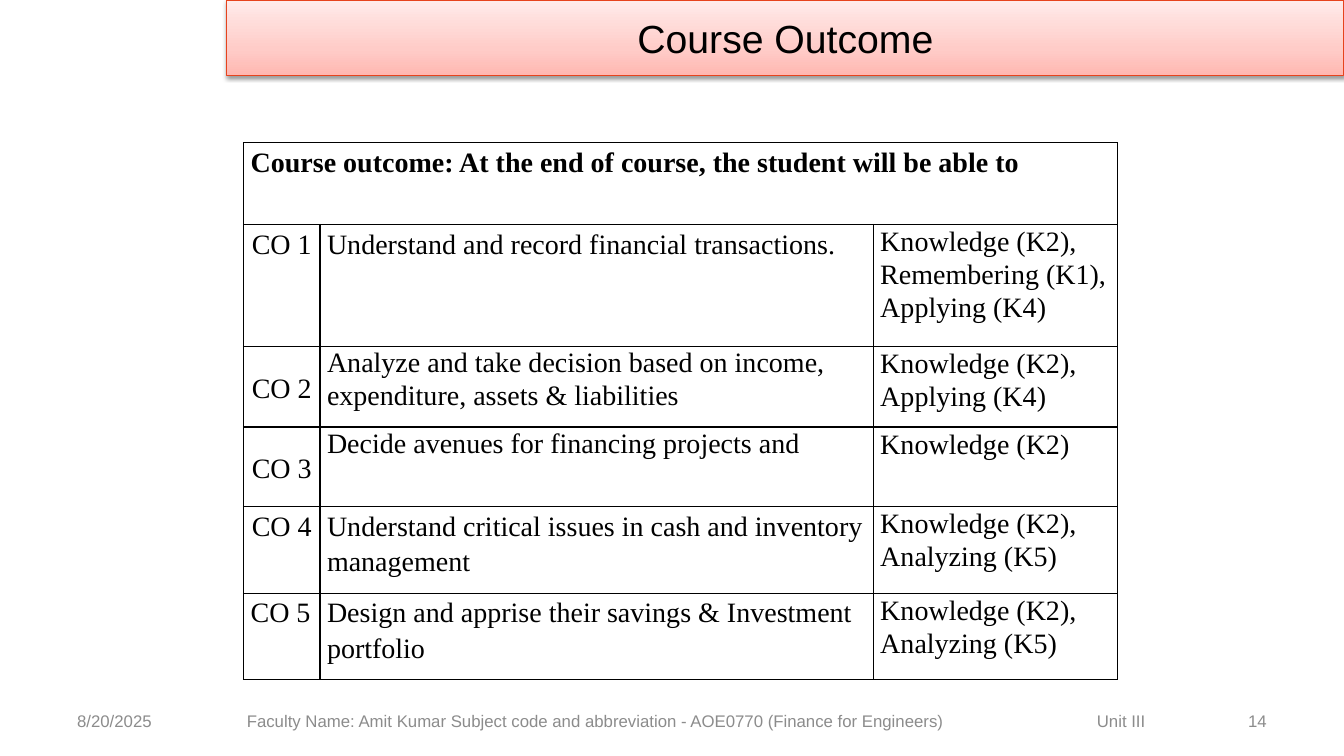
from copy import deepcopy

from lxml import etree
from pptx import Presentation
from pptx.dml.color import RGBColor
from pptx.enum.shapes import MSO_SHAPE
from pptx.enum.text import MSO_ANCHOR, PP_ALIGN
from pptx.oxml import parse_xml
from pptx.oxml.ns import qn
from pptx.util import Pt

RECT = MSO_SHAPE.RECTANGLE
TOP, MIDDLE = MSO_ANCHOR.TOP, MSO_ANCHOR.MIDDLE
LEFT, CENTER, RIGHT, JUSTIFY = (
    PP_ALIGN.LEFT, PP_ALIGN.CENTER, PP_ALIGN.RIGHT, PP_ALIGN.JUSTIFY)

BLACK = RGBColor(0, 0, 0)
GREY = RGBColor(0x8C, 0x8C, 0x8C)
WHITE = RGBColor(0xFF, 0xFF, 0xFF)
RED = RGBColor(0xE6, 0x43, 0x1D)
ROSE = RGBColor(0xFF, 0xB7, 0xB1)
PINK = RGBColor(0xFF, 0xCC, 0xC8)
BLUSH = RGBColor(0xFF, 0xEB, 0xEA)

SANS, SERIF = "Arial", "Times New Roman"
SPACE = "http://schemas.openxmlformats.org/drawingml/2006/main"

HEAD = "Course outcome: At the end of course, the student will be able to"
GOALS = [
    ("CO 1", "Understand and record financial transactions.",
     "Knowledge (K2), Remembering (K1), Applying (K4)", TOP, CENTER, 1.15),
    ("CO 2", "Analyze and take decision based on income, expenditure, assets & liabilities",
     "Knowledge (K2), Applying (K4)", MIDDLE, CENTER, 1.05),
    ("CO 3", "Decide avenues for financing projects and",
     "Knowledge (K2)", MIDDLE, CENTER, 1.05),
    ("CO 4", "Understand critical issues in cash and inventory management",
     "Knowledge (K2), Analyzing (K5)", TOP, CENTER, 1.15),
    ("CO 5", "Design and apprise their savings & Investment portfolio",
     "Knowledge (K2), Analyzing (K5)", TOP, LEFT, 1.15),
]
WIDTHS = [54.6, 395.2, 174.2]
HEIGHTS = [58.3, 87.1, 57.6, 56.9, 61.9, 61.9]


def style(para, face, size, color, align, bold=False):
    """Set the font and alignment of a paragraph."""
    para.alignment = align
    for run in para.runs:
        font = run.font
        font.name, font.size, font.bold = face, Pt(size), bold
        font.color.rgb = color


def add_title(slide, left, top, width, height):
    """Draw the shaded title bar."""
    bar = slide.shapes.add_shape(RECT, Pt(left), Pt(top), Pt(width), Pt(height))
    bar.shadow.inherit = False
    bar.line.color.rgb = RED
    bar.line.width = Pt(0.75)
    bar.fill.gradient()
    bar.fill.gradient_angle = 90
    first, last = bar.fill.gradient_stops
    first.color.rgb, first.position = PINK, 0.35
    last.color.rgb, last.position = BLUSH, 1
    stops = bar.fill._fill._gradFill.find(qn("a:gsLst"))
    stops.insert(0, deepcopy(stops[0]))
    base = bar.fill.gradient_stops[0]
    base.color.rgb, base.position = ROSE, 0

    glow = bar._element.spPr.find(qn("a:effectLst"))
    glow.append(parse_xml(
        f'<a:outerShdw xmlns:a="{SPACE}" blurRad="{Pt(3.1)}" dist="{Pt(1.6)}" '
        'dir="5400000" rotWithShape="0"><a:srgbClr val="000000">'
        '<a:alpha val="38000"/></a:srgbClr></a:outerShdw>'))
    frame = bar.text_frame
    frame.text = "Course Outcome"
    frame.vertical_anchor = MIDDLE
    style(frame.paragraphs[0], SANS, 28, BLACK, CENTER)


def add_edges(cell):
    """Give a cell thin black borders and a white fill."""
    props = cell._tc.get_or_add_tcPr()
    for side in ("lnL", "lnR", "lnT", "lnB"):
        line = etree.SubElement(props, qn(f"a:{side}"), w=str(Pt(1)))
        fill = etree.SubElement(line, qn("a:solidFill"))
        etree.SubElement(fill, qn("a:srgbClr"), val=str(BLACK))
    cell.fill.solid()
    cell.fill.fore_color.rgb = WHITE


def fill_cell(cell, text, anchor, align, gap, bold=False):
    """Write the text of one cell."""
    cell.vertical_anchor = anchor
    cell.margin_left = cell.margin_right = Pt(5)
    cell.margin_top = cell.margin_bottom = 0
    cell.text = text
    para = cell.text_frame.paragraphs[0]
    para.line_spacing = gap
    style(para, SERIF, 20, BLACK, align, bold)


def add_goals(slide, left, top, width, height):
    """Build the table of course outcomes."""
    table = slide.shapes.add_table(
        len(HEIGHTS), len(WIDTHS), Pt(left), Pt(top), Pt(width), Pt(height)).table
    table.first_row = table.horz_banding = False
    for col, size in zip(table.columns, WIDTHS):
        col.width = Pt(size)
    for row, size in zip(table.rows, HEIGHTS):
        row.height = Pt(size)
    for cell in table.iter_cells():
        add_edges(cell)
    table.cell(0, 0).merge(table.cell(0, 2))
    fill_cell(table.cell(0, 0), HEAD, TOP, JUSTIFY, 1.15, True)
    for row, (code, goal, level, anchor, align, gap) in enumerate(GOALS, 1):
        fill_cell(table.cell(row, 0), code, anchor, align, 1.15)
        fill_cell(table.cell(row, 1), goal, TOP, LEFT, gap)
        fill_cell(table.cell(row, 2), level, TOP, LEFT, 1.07)


def add_foot(slide, left, top, width, height):
    """Place the date, course line and page number."""
    parts = [
        ("8/20/2025", 0, 224, LEFT),
        ("Faculty Name: Amit Kumar Subject code and abbreviation - "
         "AOE0770 (Finance for Engineers)\tUnit III", 121.2, 680, LEFT),
        ("14", width - 224, 224, RIGHT),
    ]
    for text, shift, size, align in parts:
        box = slide.shapes.add_textbox(
            Pt(left + shift), Pt(top), Pt(size), Pt(height))
        frame = box.text_frame
        frame.word_wrap = True
        frame.vertical_anchor = MIDDLE
        frame.text = text
        para = frame.paragraphs[0]
        if "\t" in text:
            tabs = etree.SubElement(para._p.get_or_add_pPr(), qn("a:tabLst"))
            etree.SubElement(tabs, qn("a:tab"), pos=str(Pt(607.2)), algn="l")
        style(para, SANS, 12, GREY, align)


def main():
    """Build and save the slide."""
    deck = Presentation()
    deck.slide_width, deck.slide_height = Pt(960), Pt(540)
    slide = deck.slides.add_slide(deck.slide_layouts[6])
    add_foot(slide, 48, 500.4, 864, 28.8)
    add_title(slide, 162, 0, 798, 54)
    add_goals(slide, 174, 102, sum(WIDTHS), sum(HEIGHTS))
    deck.save("out.pptx")


if __name__ == "__main__":
    main()
